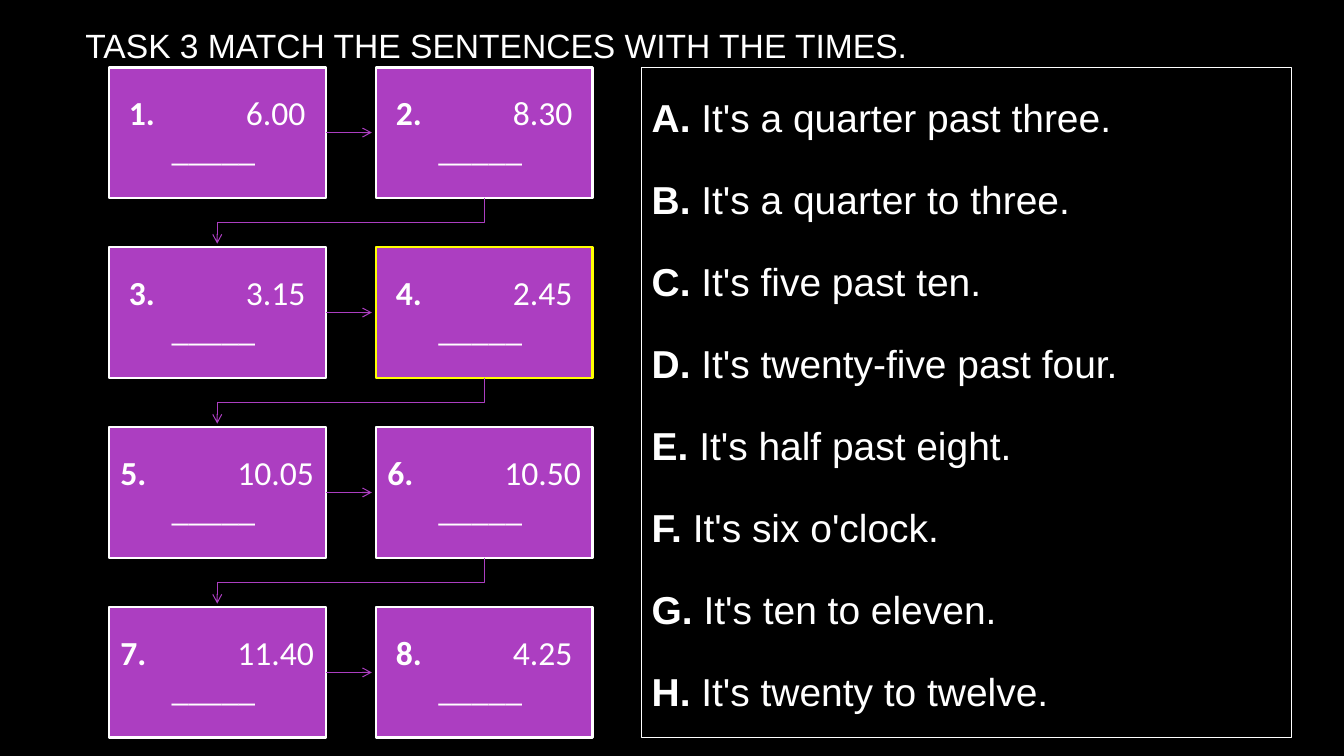
"""Build the slide that matches clock times with sentences."""
from lxml.etree import SubElement
from pptx import Presentation
from pptx.dml.color import RGBColor
from pptx.enum.shapes import MSO_CONNECTOR, MSO_SHAPE
from pptx.enum.text import MSO_ANCHOR, PP_ALIGN
from pptx.oxml.ns import qn
from pptx.util import Pt

WHITE, PURPLE, YELLOW, BLACK = "FFFFFF", "AC3EC1", "FFFF00", "000000"


def paint(target, color):
    target.solid()
    target.fore_color.rgb = RGBColor.from_string(color)


def write(para, pieces, font_name, size):
    for text, bold in pieces:
        span = para.add_run()
        span.text = text
        for name, value in {"name": font_name, "size": Pt(size), "bold": bold}.items():
            setattr(span.font, name, value)
        paint(span.font.fill, WHITE)


deck = Presentation()
deck.slide_width, deck.slide_height = Pt(960), Pt(540)
page = deck.slides.add_slide(deck.slide_layouts[6])
paint(page.background.fill, BLACK)

title = page.shapes.add_textbox(Pt(54), Pt(18), Pt(798), Pt(28))
title_format = {"word_wrap": True, "vertical_anchor": MSO_ANCHOR.MIDDLE,
                "margin_top": 0, "margin_bottom": 0}
for name, value in title_format.items():
    setattr(title.text_frame, name, value)
write(title.text_frame.paragraphs[0],
      [("TASK 3 MATCH THE SENTENCES WITH THE TIMES.", False)], "Arial", 24)

times = ["6.00", "8.30", "3.15", "2.45", "10.05", "10.50", "11.40", "4.25"]
left, top, card_width, card_height = 77.7, 48.2, 155, 93
column_step, row_step = 190.6, 128.55
card_format = {"word_wrap": True, "vertical_anchor": MSO_ANCHOR.MIDDLE,
               "margin_left": Pt(7.6), "margin_right": Pt(7.6),
               "margin_top": Pt(7.6), "margin_bottom": Pt(7.6)}
arrows = []

for index, time in enumerate(times):
    row, column = divmod(index, 2)
    x, y = left + column * column_step, top + row * row_step
    card = page.shapes.add_shape(MSO_SHAPE.RECTANGLE, Pt(x), Pt(y),
                                 Pt(card_width), Pt(card_height))
    card.shadow.inherit = False
    paint(card.fill, PURPLE)
    paint(card.line.fill, YELLOW if index == 3 else WHITE)
    card.line.width = Pt(1.5)
    for name, value in card_format.items():
        setattr(card.text_frame, name, value)
    para = card.text_frame.paragraphs[0]
    para.alignment, para.line_spacing = PP_ALIGN.CENTER, 0.9
    tabs = SubElement(para._p.get_or_add_pPr(), qn("a:tabLst"))
    SubElement(tabs, qn("a:tab"), pos=str(Pt(83.6)), algn="l")
    write(para, [(f"{index + 1}.", True), (f" \t{time} _____ ", False)], "Calibri", 24)

    if column == 0:
        middle = Pt(y + card_height / 2)
        arrow = page.shapes.add_connector(MSO_CONNECTOR.STRAIGHT, Pt(x + card_width), middle,
                                          Pt(x + column_step - 2.7), middle)
        SubElement(arrow._element.spPr, qn("a:effectLst"))
        arrows.append(arrow)
    elif index < len(times) - 1:
        start, bottom = x + card_width / 2, y + card_height
        end, bend = start - column_step, bottom + 17.8
        outline = page.shapes.build_freeform(Pt(start), Pt(bottom))
        outline.add_line_segments([(Pt(start), Pt(bend)), (Pt(end), Pt(bend)),
                                   (Pt(end), Pt(y + row_step - 2.7))], close=False)
        arrow = outline.convert_to_shape()
        arrow.shadow.inherit = False
        arrow.fill.background()
        arrows.append(arrow)

for arrow in arrows:
    paint(arrow.line.fill, PURPLE)
    arrow.line.width = Pt(0.75)
    SubElement(arrow._element.spPr.find(qn("a:ln")), qn("a:tailEnd"), type="arrow")

sentences = ["It's a quarter past three.", "It's a quarter to three.", "It's five past ten.",
             "It's twenty-five past four.", "It's half past eight.", "It's six o'clock.",
             "It's ten to eleven.", "It's twenty to twelve."]
panel = page.shapes.add_shape(MSO_SHAPE.RECTANGLE, Pt(458.4), Pt(top), Pt(464.4), Pt(478.6))
panel.shadow.inherit = False
panel.fill.background()
paint(panel.line.fill, WHITE)
panel.line.width = Pt(0.75)
panel_format = {"word_wrap": True, "vertical_anchor": MSO_ANCHOR.TOP,
                "margin_left": Pt(7.2), "margin_top": Pt(5.2)}
for name, value in panel_format.items():
    setattr(panel.text_frame, name, value)
for index, (letter, sentence) in enumerate(zip("ABCDEFGH", sentences)):
    para = panel.text_frame.add_paragraph() if index else panel.text_frame.paragraphs[0]
    para_format = {"alignment": PP_ALIGN.LEFT, "line_spacing": 1.4, "space_after": Pt(11.9)}
    for name, value in para_format.items():
        setattr(para, name, value)
    write(para, [(f"{letter}.", True), (f" {sentence}", False)], "Arial", 27.8)

deck.save("out.pptx")
